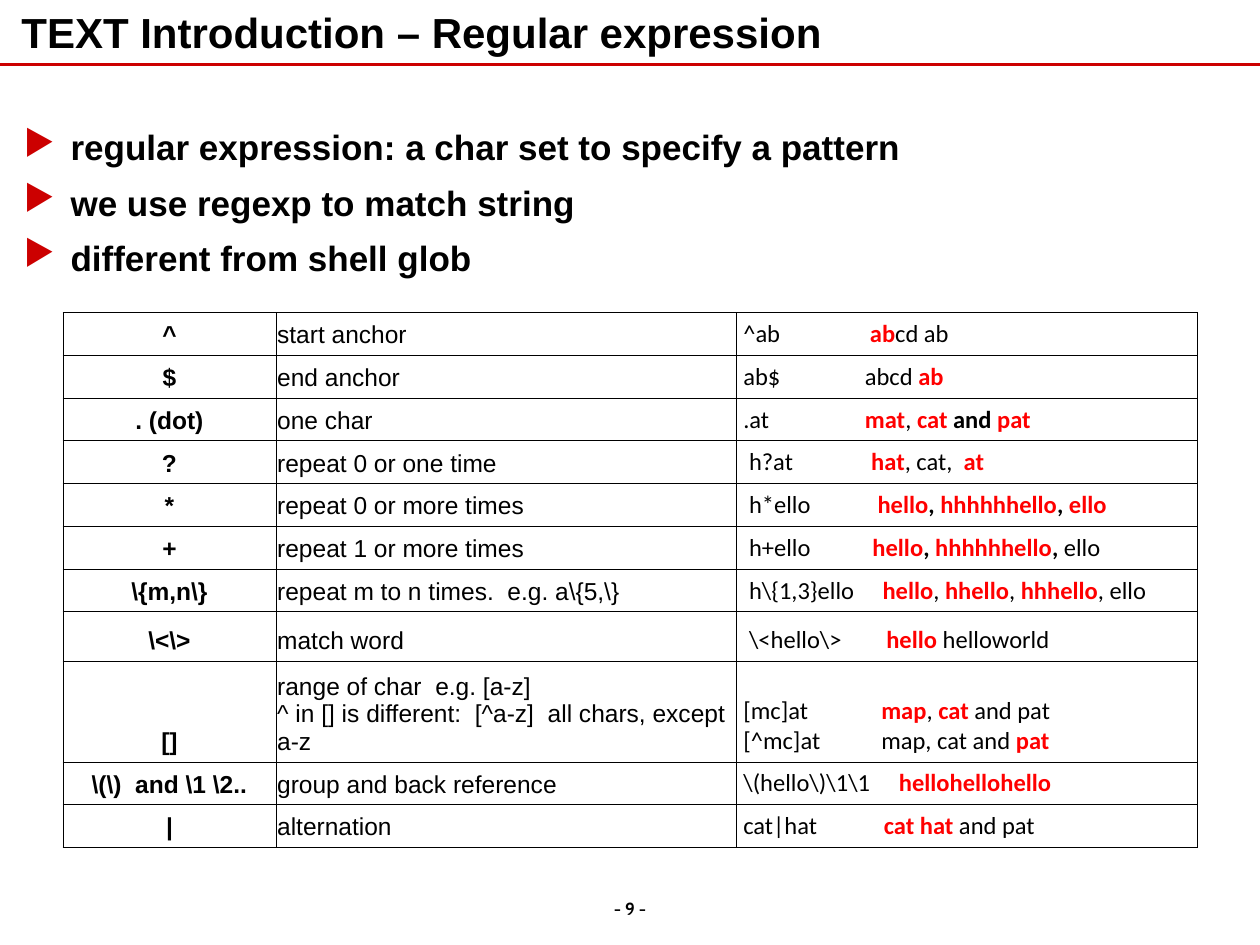
from dataclasses import dataclass
from typing import NamedTuple

from lxml.etree import SubElement
from pptx import Presentation
from pptx.dml.color import RGBColor
from pptx.enum.shapes import MSO_CONNECTOR as Connector
from pptx.enum.text import MSO_ANCHOR as Anchor, MSO_AUTO_SIZE as AutoSize, PP_ALIGN as Align
from pptx.oxml.ns import qn
from pptx.util import Inches, Length, Pt

WIDTH, HEIGHT = Inches(10), Inches(7.5)
BLACK, WHITE, RED, ACCENT = "000000", "FFFFFF", "FF0000", "CC0000"
COLUMN_SHARES = (16.9, 36.55, 36.55)
ROW_SHARE = 4.53


class Box(NamedTuple):
    """A rectangle in percent of the slide's width and height."""
    left: float
    top: float
    width: float
    height: float


class Run(NamedTuple):
    """A piece of text with its own colour and weight."""
    text: str
    color: str = BLACK
    bold: bool = False


@dataclass
class Example:
    """A pattern and the text it is tried on."""
    pattern: str
    sample: list[Run]


@dataclass
class Rule:
    """One table row: symbol, meaning and examples set at given columns."""
    symbol: str
    meaning: list[str]
    examples: list[Example]
    sample_at: float
    indent: float = 0.55
    height: float = ROW_SHARE


def hit(text: str) -> Run:
    """Return matched text."""
    return Run(text, RED, True)


def strong(text: str) -> Run:
    """Return bold black text."""
    return Run(text, BLACK, True)


RULES = [
    Rule("^", ["start anchor"], [Example("^ab", [hit("ab"), Run("cd ab")])], 10.6),
    Rule("$", ["end anchor"], [Example("ab$", [Run("abcd "), hit("ab")])], 10.2),
    Rule(". (dot)", ["one char"],
         [Example(".at", [hit("mat"), Run(", "), hit("cat "), strong("and "), hit("pat")])], 10.2),
    Rule("?", ["repeat 0 or one time"],
         [Example("h?at", [hit("hat"), Run(", cat, "), hit(" at")])], 10.7, 1),
    Rule("*", ["repeat 0 or more times"],
         [Example("h*ello", [hit("hello"), strong(", "), hit("hhhhhhello"), strong(", "),
                             hit("ello")])], 11.2, 1),
    Rule("+", ["repeat 1 or more times"],
         [Example("h+ello", [hit("hello"), strong(", "), hit("hhhhhhello"), strong(", "),
                             Run("ello")])], 10.8, 1),
    Rule("\\{m,n\\}", ["repeat m to n times.  e.g. a\\{5,\\}"],
         [Example("h\\{1,3}ello", [hit("hello"), Run(", "), hit("hhello"), Run(", "),
                                   hit("hhhello"), Run(", ello")])], 11.6, 1),
    Rule("\\<\\>", ["match word"],
         [Example("\\<hello\\>", [hit("hello"), Run(" helloworld")])], 11.9, 1, 5.2),
    Rule("[]", ["range of char  e.g. [a-z]",
                "^ in [] is different:  [^a-z]  all chars, except a-z"],
         [Example("[mc]at", [hit("map"), Run(", "), hit("cat"), Run(" and pat")]),
          Example("[^mc]at", [Run("map, cat and "), hit("pat")])], 11.5, height=10),
    Rule("\\(\\)  and \\1 \\2..", ["group and back reference"],
         [Example("\\(hello\\)\\1\\1", [hit("hellohellohello")])], 12.9),
    Rule("|", ["alternation"],
         [Example("cat|hat", [hit("cat hat"), Run(" and pat")])], 11.7),
]


def across(percent: float) -> Length:
    """Return a share of the slide's width."""
    return Length(round(WIDTH * percent / 100))


def down(percent: float) -> Length:
    """Return a share of the slide's height."""
    return Length(round(HEIGHT * percent / 100))


def place(box: Box) -> tuple[Length, Length, Length, Length]:
    """Return a box as left, top, width and height."""
    return across(box.left), down(box.top), across(box.width), down(box.height)


def rgb(color: str) -> RGBColor:
    """Turn a hex string into a colour."""
    return RGBColor.from_string(color)


def set_font(font, name: str, size: float, bold: bool = False) -> None:
    """Format a font in black."""
    font.name, font.size, font.bold = name, Pt(size), bold
    font.color.rgb = rgb(BLACK)


def clear_margins(frame) -> None:
    """Remove the insets of a text frame and let it wrap."""
    frame.margin_left = frame.margin_right = frame.margin_top = frame.margin_bottom = 0
    frame.word_wrap = True


def add_title(slide, text: str) -> None:
    """Fill the title placeholder and rule a line under it."""
    title = slide.shapes.title
    title.left, title.top, title.width, title.height = place(Box(1.7, 1.07, 96.7, 4.93))
    frame = title.text_frame
    clear_margins(frame)
    frame.auto_size = AutoSize.NONE
    frame.vertical_anchor = Anchor.BOTTOM
    frame.text = text
    paragraph = frame.paragraphs[0]
    paragraph.alignment = Align.LEFT
    set_font(paragraph.font, "Arial", 24, True)
    line = slide.shapes.add_connector(Connector.STRAIGHT, 0, down(6.8), WIDTH, down(6.8))
    line.line.color.rgb, line.line.width = rgb(ACCENT), Pt(1.5)
    SubElement(line._element.spPr, qn("a:effectLst"))


def add_bullets(slide, box: Box, texts: list[str]) -> None:
    """Add a list with triangle bullets."""
    frame = slide.shapes.add_textbox(*place(box)).text_frame
    clear_margins(frame)
    for index, text in enumerate(texts):
        paragraph = frame.add_paragraph() if index else frame.paragraphs[0]
        paragraph.text = text
        properties = paragraph._p.get_or_add_pPr()
        properties.set("marL", str(across(3.7)))
        properties.set("indent", str(-across(3.7)))
        SubElement(SubElement(properties, qn("a:buClr")), qn("a:srgbClr"), val=ACCENT)
        SubElement(properties, qn("a:buChar"), char="▶")
        paragraph.space_before = Pt(7.5 if index else 0)
        set_font(paragraph.font, "Arial", 20, True)


def add_page_number(slide, box: Box, text: str) -> None:
    """Add the centred page number."""
    frame = slide.shapes.add_textbox(*place(box)).text_frame
    frame.word_wrap = True
    paragraph = frame.paragraphs[0]
    paragraph.text, paragraph.alignment = text, Align.CENTER
    set_font(paragraph.font, "Cabin", 10, True)


def format_cell(cell, indent: float = 0.1) -> None:
    """Give a cell thin borders, a white fill and its insets."""
    properties = cell._tc.get_or_add_tcPr()
    for side in ("a:lnL", "a:lnR", "a:lnT", "a:lnB"):
        border = SubElement(properties, qn(side), w=str(Pt(0.45)))
        SubElement(SubElement(border, qn("a:solidFill")), qn("a:srgbClr"), val=BLACK)
    cell.fill.solid()
    cell.fill.fore_color.rgb = rgb(WHITE)
    cell.vertical_anchor = Anchor.BOTTOM
    cell.margin_left, cell.margin_right = across(indent), across(0.1)
    cell.margin_top = cell.margin_bottom = Inches(0.05)


def write_lines(cell, lines: list[list[Run]], font: str, align: Align = Align.LEFT,
                tab: float = 0) -> None:
    """Write one paragraph of runs per line, with an optional tab stop."""
    frame = cell.text_frame
    for index, runs in enumerate(lines):
        paragraph = frame.add_paragraph() if index else frame.paragraphs[0]
        paragraph.alignment = align
        if tab:
            stops = SubElement(paragraph._p.get_or_add_pPr(), qn("a:tabLst"))
            SubElement(stops, qn("a:tab"), pos=str(across(tab)), algn="l")
        set_font(paragraph.font, font, 14, all(run.bold for run in runs))
        for part in runs:
            run = paragraph.add_run()
            run.text, run.font.bold = part.text, part.bold
            run.font.color.rgb = rgb(part.color)


def add_rules(slide, left: float, top: float, rules: list[Rule]) -> None:
    """Add the table of regular expression rules."""
    box = Box(left, top, sum(COLUMN_SHARES), sum(rule.height for rule in rules))
    table = slide.shapes.add_table(len(rules), len(COLUMN_SHARES), *place(box)).table
    table.first_row = table.horz_banding = False
    for column, share in zip(table.columns, COLUMN_SHARES):
        column.width = across(share)
    for row, rule in zip(table.rows, rules):
        row.height = down(rule.height)
        symbol, meaning, example = row.cells
        format_cell(symbol)
        format_cell(meaning)
        format_cell(example, rule.indent)
        write_lines(symbol, [[strong(rule.symbol)]], "Arial", Align.CENTER)
        write_lines(meaning, [[Run(text)] for text in rule.meaning], "Arial")
        lines = [[Run(item.pattern + "\t"), *item.sample] for item in rule.examples]
        write_lines(example, lines, "Calibri", tab=rule.sample_at - rule.indent)


def main() -> None:
    """Build and save the slide."""
    presentation = Presentation()
    presentation.slide_width, presentation.slide_height = WIDTH, HEIGHT
    slide = presentation.slides.add_slide(presentation.slide_layouts[5])
    add_title(slide, "TEXT Introduction – Regular expression")
    add_bullets(slide, Box(1.9, 13.33, 96.7, 77.73), [
        "regular expression: a char set to specify a pattern",
        "we use regexp to match string",
        "different from shell glob",
    ])
    add_page_number(slide, Box(39.6, 94.4, 20.8, 3.6), "- 9 -")
    add_rules(slide, 5, 33.07, RULES)
    presentation.save("out.pptx")


if __name__ == "__main__":
    main()
